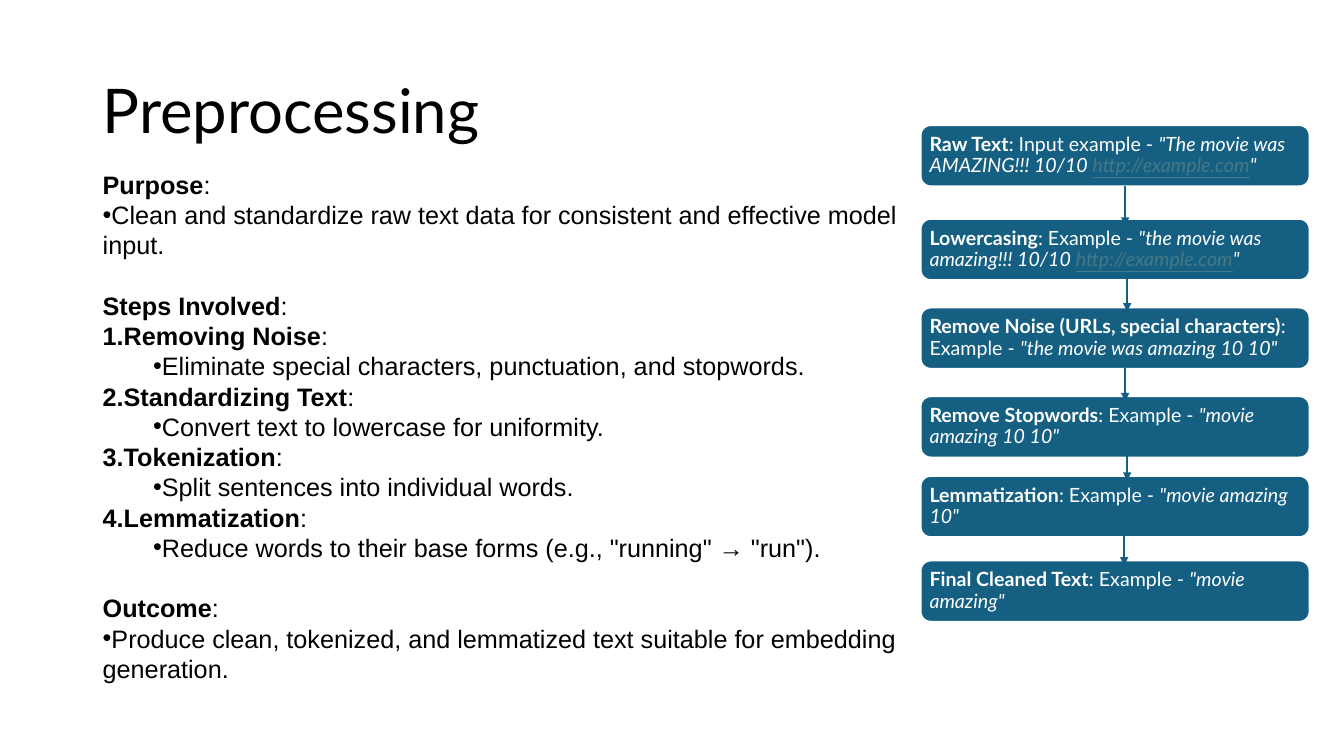
from lxml.etree import SubElement
from pptx import Presentation
from pptx.dml.color import RGBColor
from pptx.enum.shapes import MSO_CONNECTOR, MSO_SHAPE
from pptx.enum.text import MSO_ANCHOR, PP_ALIGN
from pptx.oxml.ns import qn
from pptx.util import Inches, Pt

BLACK = RGBColor(0x00, 0x00, 0x00)
WHITE = RGBColor(0xFF, 0xFF, 0xFF)
TEAL = RGBColor(0x15, 0x60, 0x82)
LINK_BLUE = RGBColor(0x46, 0x78, 0x86)


def add_text(paragraph, text, size=18, font="Arial", color=BLACK,
             bold=False, italic=False, underline=False):
    run = paragraph.add_run()
    run.text = text
    run.font.size = Pt(size)
    run.font.name = font
    run.font.color.rgb = color
    run.font.bold = bold
    run.font.italic = italic
    run.font.underline = underline


def add_bullet(paragraph, indent=0, number=None):
    properties = paragraph._p.get_or_add_pPr()
    properties.set("marL", str(Inches(indent)))
    properties.set("indent", "0")
    SubElement(properties, qn("a:buFont"), typeface="Arial")
    if number:
        SubElement(properties, qn("a:buAutoNum"), type="arabicPeriod", startAt=str(number))
    else:
        SubElement(properties, qn("a:buChar"), char="•")


presentation = Presentation()
presentation.slide_width = Inches(13.33)
presentation.slide_height = Inches(7.5)
slide = presentation.slides.add_slide(presentation.slide_layouts[6])

title = slide.shapes.add_textbox(Inches(0.92), Inches(0.4), Inches(11.5), Inches(1.45))
title.text_frame.word_wrap = True
title.text_frame.vertical_anchor = MSO_ANCHOR.MIDDLE
title.text_frame.paragraphs[0].line_spacing = 0.9
add_text(title.text_frame.paragraphs[0], "Preprocessing", size=44, font="Lato")

body_lines = [
    ("heading", "Purpose"),
    ("bullet", "Clean and standardize raw text data for consistent and effective model input."),
    ("heading", "Steps Involved"),
    ("step", "Removing Noise"),
    ("detail", "Eliminate special characters, punctuation, and stopwords."),
    ("step", "Standardizing Text"),
    ("detail", "Convert text to lowercase for uniformity."),
    ("step", "Tokenization"),
    ("detail", "Split sentences into individual words."),
    ("step", "Lemmatization"),
    ("detail", "Reduce words to their base forms (e.g., \"running\" → \"run\")."),
    ("heading", "Outcome"),
    ("bullet", "Produce clean, tokenized, and lemmatized text suitable for embedding generation."),
]
body = slide.shapes.add_textbox(Inches(0.92), Inches(1.63), Inches(8.29), Inches(5.5))
body.text_frame.word_wrap = True
step_number = 0
for position, (kind, text) in enumerate(body_lines):
    paragraph = body.text_frame.add_paragraph() if position else body.text_frame.paragraphs[0]
    paragraph.line_spacing = Pt(21.6)
    if kind == "heading" and position:
        paragraph.space_before = Pt(21.6)
    if kind == "step":
        step_number += 1
        add_bullet(paragraph, number=step_number)
    elif kind == "detail":
        paragraph.level = 1
        add_bullet(paragraph, indent=0.5)
    elif kind == "bullet":
        add_bullet(paragraph)
    is_label = kind in ("heading", "step")
    add_text(paragraph, text, bold=is_label)
    if is_label:
        add_text(paragraph, ":")

stages = [
    (1.24, "Raw Text", ": Input example - ", "\"The movie was AMAZING!!! 10/10 ", "http://example.com"),
    (2.17, "Lowercasing", ": Example - ", "\"the movie was amazing!!! 10/10 ", "http://example.com"),
    (3.05, "Remove Noise (URLs, special characters)", ": Example - ",
     "\"the movie was amazing 10 10\"", None),
    (3.93, "Remove Stopwords", ": Example - ", "\"movie amazing 10 10\"", None),
    (4.72, "Lemmatization", ": Example - ", "\"movie amazing 10\"", None),
    (5.56, "Final Cleaned Text", ": Example - ", "\"movie amazing\"", None),
]
stage_format = {"size": 14, "font": "Lato"}
for top, name, lead, example, address in stages:
    box = slide.shapes.add_shape(MSO_SHAPE.ROUNDED_RECTANGLE,
                                 Inches(9.13), Inches(top), Inches(3.86), Inches(0.61))
    box.shadow.inherit = False
    box.fill.solid()
    box.fill.fore_color.rgb = TEAL
    box.line.color.rgb = WHITE
    box.line.width = Pt(1.5)
    frame = box.text_frame
    frame.word_wrap = True
    frame.vertical_anchor = MSO_ANCHOR.MIDDLE
    frame.margin_left = frame.margin_right = Inches(0.06)
    frame.margin_top = frame.margin_bottom = Inches(0.03)
    paragraph = frame.paragraphs[0]
    paragraph.alignment = PP_ALIGN.LEFT
    paragraph.line_spacing = 0.9
    add_text(paragraph, name, color=WHITE, bold=True, **stage_format)
    add_text(paragraph, lead, color=WHITE, **stage_format)
    add_text(paragraph, example, color=WHITE, italic=True, **stage_format)
    if address:
        add_text(paragraph, address, color=LINK_BLUE, italic=True, underline=True, **stage_format)
        add_text(paragraph, "\"", color=WHITE, italic=True, **stage_format)

arrows = [(11.16, 1.85, 2.24), (11.18, 2.75, 3.09), (11.16, 3.65, 3.98),
          (11.18, 4.51, 4.77), (11.15, 5.27, 5.61)]
for x, start, end in arrows:
    arrow = slide.shapes.add_connector(MSO_CONNECTOR.STRAIGHT,
                                       Inches(x), Inches(start), Inches(x), Inches(end))
    arrow.line.color.rgb = TEAL
    arrow.line.width = Pt(1.5)
    SubElement(arrow.line._get_or_add_ln(), qn("a:tailEnd"), type="triangle")
    SubElement(arrow._element.spPr, qn("a:effectLst"))

presentation.save("out.pptx")
